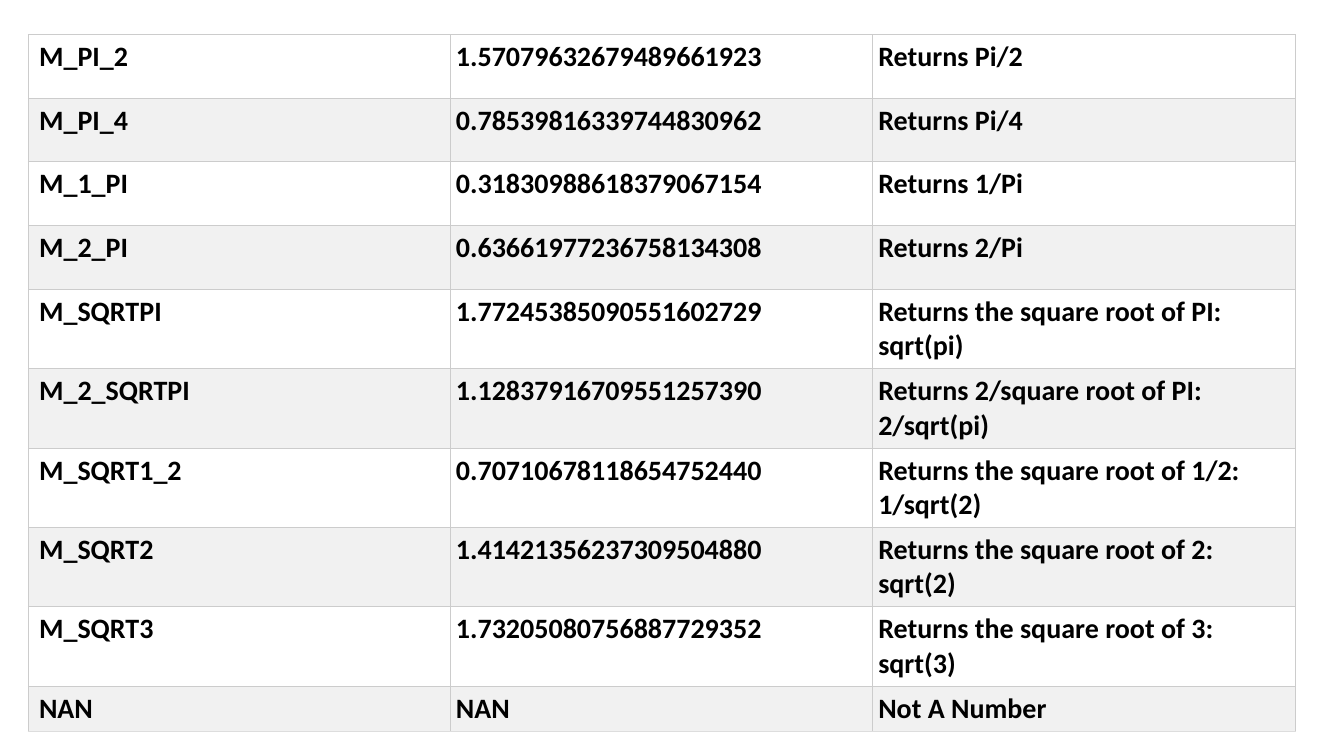
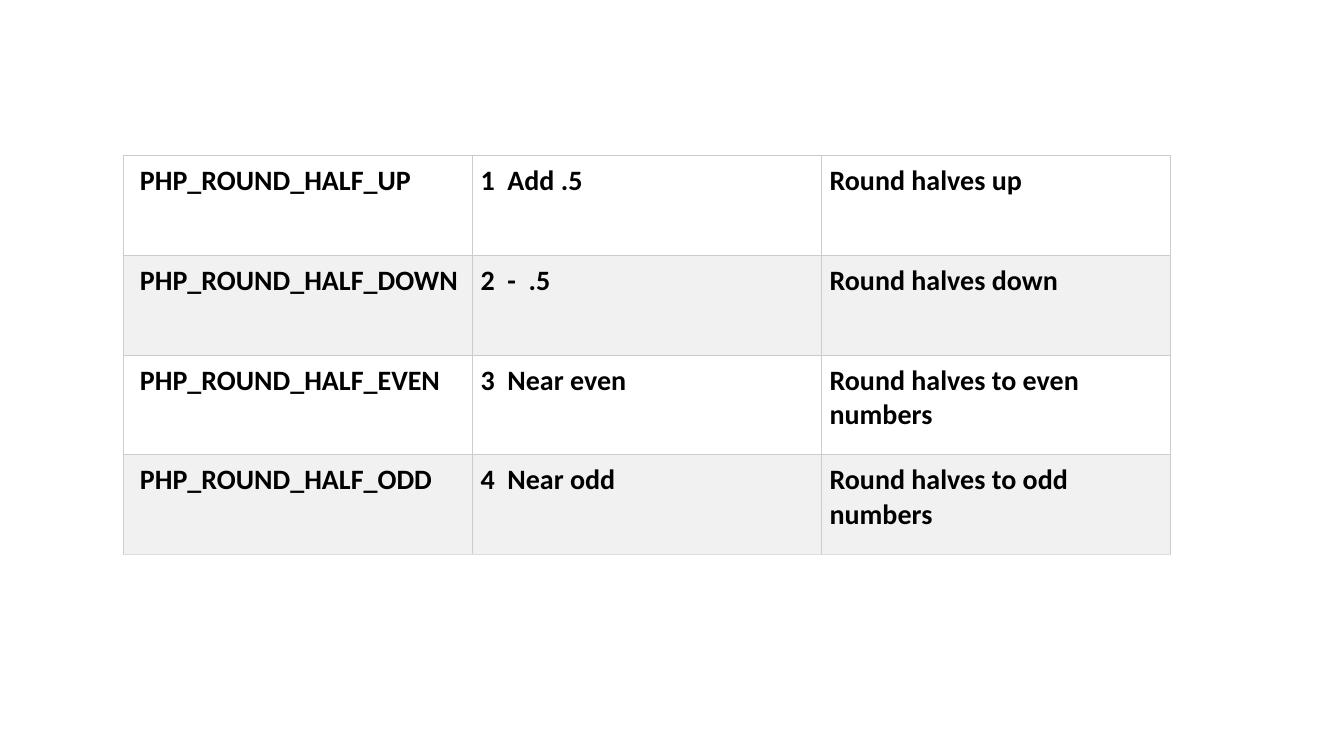
from lxml.etree import SubElement
from pptx import Presentation
from pptx.dml.color import RGBColor
from pptx.oxml.ns import qn
from pptx.util import Pt

WHITE = RGBColor(0xFF, 0xFF, 0xFF)
BAND = RGBColor(0xF1, 0xF1, 0xF1)
BLACK = RGBColor(0x00, 0x00, 0x00)
GRID = RGBColor(0xCC, 0xCC, 0xCC)
BOTTOM_EDGE = RGBColor(0xDD, 0xDD, 0xDD)

TEXT_FORMAT = {"name": "Calibri", "size": Pt(20), "bold": True}
BORDER_WIDTH = Pt(0.75)

PI_CONSTANTS = [
    ("M_PI_2", "1.57079632679489661923", "Returns Pi/2"),
    ("M_PI_4", "0.78539816339744830962", "Returns Pi/4"),
    ("M_1_PI", "0.31830988618379067154", "Returns 1/Pi"),
    ("M_2_PI", "0.63661977236758134308", "Returns 2/Pi"),
    ("M_SQRTPI", "1.77245385090551602729", "Returns the square root of PI: sqrt(pi)"),
    ("M_2_SQRTPI", "1.12837916709551257390", "Returns 2/square root of PI: 2/sqrt(pi)"),
    ("M_SQRT1_2", "0.70710678118654752440", "Returns the square root of 1/2: 1/sqrt(2)"),
    ("M_SQRT2", "1.41421356237309504880", "Returns the square root of 2: sqrt(2)"),
    ("M_SQRT3", "1.73205080756887729352", "Returns the square root of 3: sqrt(3)"),
    ("NAN", "NAN", "Not A Number"),
]
ROUNDING_MODES = [
    ("PHP_ROUND_HALF_UP", "1  Add .5", "Round halves up"),
    ("PHP_ROUND_HALF_DOWN", "2  -  .5", "Round halves down"),
    ("PHP_ROUND_HALF_EVEN", "3  Near even", "Round halves to even numbers"),
    ("PHP_ROUND_HALF_ODD", "4  Near odd", "Round halves to odd numbers"),
]


def set_borders(cell, bottom_color):
    """Draw the four edges; called before the fill, which must follow them."""
    properties = cell._tc.get_or_add_tcPr()
    edges = {"a:lnL": GRID, "a:lnR": GRID, "a:lnT": GRID, "a:lnB": bottom_color}
    for tag, color in edges.items():
        line = SubElement(properties, qn(tag), w=str(BORDER_WIDTH))
        fill = SubElement(line, qn("a:solidFill"))
        SubElement(fill, qn("a:srgbClr"), val=str(color))


def fill_cell(cell, text, color, bottom_color, margins):
    for name, value in margins.items():
        setattr(cell, name, value)
    set_borders(cell, bottom_color)
    cell.fill.solid()
    cell.fill.fore_color.rgb = color

    span = cell.text_frame.paragraphs[0].add_run()
    span.text = text
    for name, value in TEXT_FORMAT.items():
        setattr(span.font, name, value)
    span.font.color.rgb = BLACK


def add_constants_slide(deck, rows, box, heights, margin, first_margin):
    """Add a slide with one banded table of constants, filling the box."""
    page = deck.slides.add_slide(deck.slide_layouts[6])
    column_count = len(rows[0])
    table = page.shapes.add_table(len(rows), column_count, *box).table
    table.first_row = table.horz_banding = False

    # Equal columns and given row heights
    for column in table.columns:
        column.width = box[2] // column_count
    for row, height in zip(table.rows, heights):
        row.height = height

    # Cells, with alternating bands and a paler last edge
    sides = ("left", "top", "right", "bottom")
    for row_index, texts in enumerate(rows):
        color = BAND if row_index % 2 else WHITE
        bottom_color = BOTTOM_EDGE if row_index == len(rows) - 1 else GRID
        for column_index, text in enumerate(texts):
            margins = {f"margin_{side}": margin for side in sides}
            if column_index == 0:
                margins["margin_left"] = first_margin
            fill_cell(table.cell(row_index, column_index), text, color,
                      bottom_color, margins)


deck = Presentation()
deck.slide_width, deck.slide_height = Pt(960), Pt(540)

# Mathematical constants
add_constants_slide(
    deck, PI_CONSTANTS, (Pt(20.2), Pt(24.6), Pt(905), Pt(437.4)),
    [Pt(45.55)] * 9 + [Pt(27.4)], Pt(3.85), Pt(7.7))

# Rounding modes
add_constants_slide(
    deck, ROUNDING_MODES, (Pt(88), Pt(110.8), Pt(748), Pt(285.6)),
    [Pt(71.4)] * 4, Pt(6), Pt(12))

deck.save("out.pptx")
